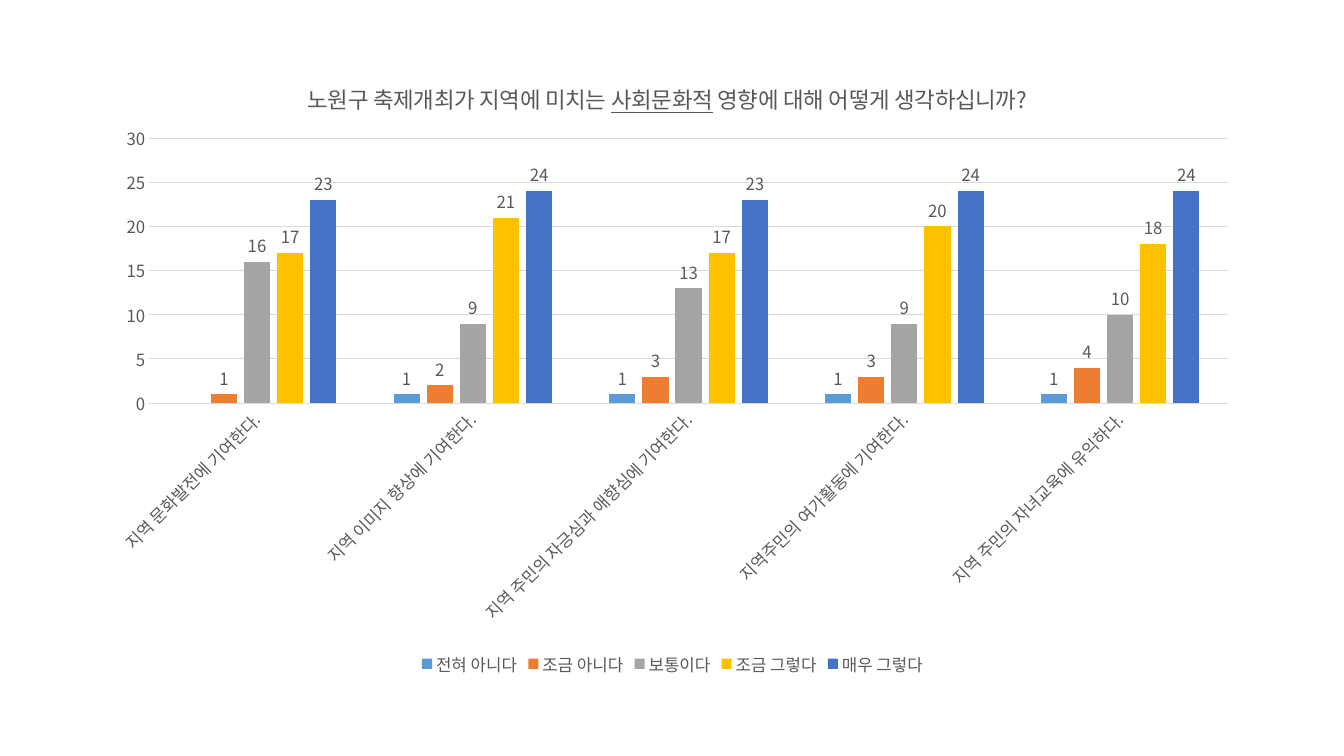
from lxml import etree
from pptx import Presentation
from pptx.chart.data import CategoryChartData
from pptx.dml.color import RGBColor
from pptx.enum.chart import XL_CHART_TYPE as ChartType
from pptx.enum.chart import XL_LABEL_POSITION as LabelPosition
from pptx.enum.chart import XL_LEGEND_POSITION as LegendPosition
from pptx.enum.chart import XL_TICK_MARK as TickMark
from pptx.oxml.ns import qn
from pptx.util import Inches, Pt

FONT = "Noto Sans CJK KR"
COLORS = {
    "text": "595959",
    "grid": "D9D9D9",
    "전혀 아니다": "5B9BD5",
    "조금 아니다": "ED7D31",
    "보통이다": "A5A5A5",
    "조금 그렇다": "FFC000",
    "매우 그렇다": "4472C4",
}
CHART_WIDTH, CHART_HEIGHT = 11.5, 6.22


def style_font(font, size):
    formats = {"name": FONT, "size": Pt(size), "bold": False}
    for name, value in formats.items():
        setattr(font, name, value)
    font.color.rgb = RGBColor.from_string(COLORS["text"])


def place(element, index, **measures):
    for old in element.findall(qn("c:layout")):
        element.remove(old)
    layout = etree.Element(qn("c:layout"))
    manual = etree.SubElement(layout, qn("c:manualLayout"))
    for name, value in measures.items():
        etree.SubElement(manual, qn(f"c:{name}")).set("val", str(value))
    element.insert(index, layout)


deck = Presentation()
deck.slide_width, deck.slide_height = Inches(13.33), Inches(7.5)
page = deck.slides.add_slide(deck.slide_layouts[6])

survey = CategoryChartData()
survey.categories = [
    "지역 문화발전에 기여한다.",
    "지역 이미지 향상에 기여한다.",
    "지역 주민의 자긍심과 애향심에 기여한다.",
    "지역주민의 여가활동에 기여한다.",
    "지역 주민의 자녀교육에 유익하다.",
]
answers = {
    "전혀 아니다": [None, 1, 1, 1, 1],
    "조금 아니다": [1, 2, 3, 3, 4],
    "보통이다": [16, 9, 13, 9, 10],
    "조금 그렇다": [17, 21, 17, 20, 18],
    "매우 그렇다": [23, 24, 23, 24, 24],
}
for answer, counts in answers.items():
    survey.add_series(answer, counts)

chart = page.shapes.add_chart(
    ChartType.COLUMN_CLUSTERED, Inches(0.92), Inches(0.53),
    Inches(CHART_WIDTH), Inches(CHART_HEIGHT), survey,
).chart
style_font(chart.font, 12)

chart.has_title = True
para = chart.chart_title.text_frame.paragraphs[0]
style_font(para.font, 16)
for text, underline in [
    ("노원구 축제개최가 지역에 미치는 ", False),
    ("사회문화적", True),
    (" 영향에 대해 어떻게 생각하십니까?", False),
]:
    span = para.add_run()
    span.text = text
    style_font(span.font, 16)
    span.font.underline = underline

chart.has_legend = True
chart.legend.position = LegendPosition.BOTTOM
chart.legend.include_in_layout = False
style_font(chart.legend.font, 12)

for axis in (chart.category_axis, chart.value_axis):
    axis.major_tick_mark = TickMark.NONE
    axis.minor_tick_mark = TickMark.NONE
    style_font(axis.tick_labels.font, 12)

grid = chart.value_axis.major_gridlines.format.line
for line in (chart.category_axis.format.line, grid):
    line.color.rgb = RGBColor.from_string(COLORS["grid"])
    line.width = Pt(0.75)
chart.value_axis.format.line.fill.background()
for name, value in {"minimum_scale": 0, "maximum_scale": 30, "major_unit": 5}.items():
    setattr(chart.value_axis, name, value)

category_text = chart.category_axis._element.find(qn("c:txPr"))
category_text.find(qn("a:bodyPr")).set("rot", str(-45 * 60000))

plot = chart.plots[0]
for name, value in {"gap_width": 219, "overlap": -27, "vary_by_categories": False}.items():
    setattr(plot, name, value)
for series in plot.series:
    series.format.fill.solid()
    series.format.fill.fore_color.rgb = RGBColor.from_string(COLORS[series.name])
    labels = series.data_labels
    labels.show_value = True
    labels.position = LabelPosition.OUTSIDE_END
    style_font(labels.font, 12)

chart_space = chart._chartSpace
place(
    chart_space.find(".//" + qn("c:plotArea")), 0,
    layoutTarget="inner", xMode="edge", yMode="edge",
    x=0.56 / CHART_WIDTH, y=0.84 / CHART_HEIGHT,
    w=10.7 / CHART_WIDTH, h=2.63 / CHART_HEIGHT,
)
place(
    chart.chart_title._element, 1, xMode="edge", yMode="edge",
    x=2.1 / CHART_WIDTH, y=0.25 / CHART_HEIGHT,
)
for latin in list(chart_space.iter(qn("a:latin"))):
    east_asian = etree.Element(qn("a:ea"))
    east_asian.set("typeface", FONT)
    latin.addnext(east_asian)

deck.save("out.pptx")
